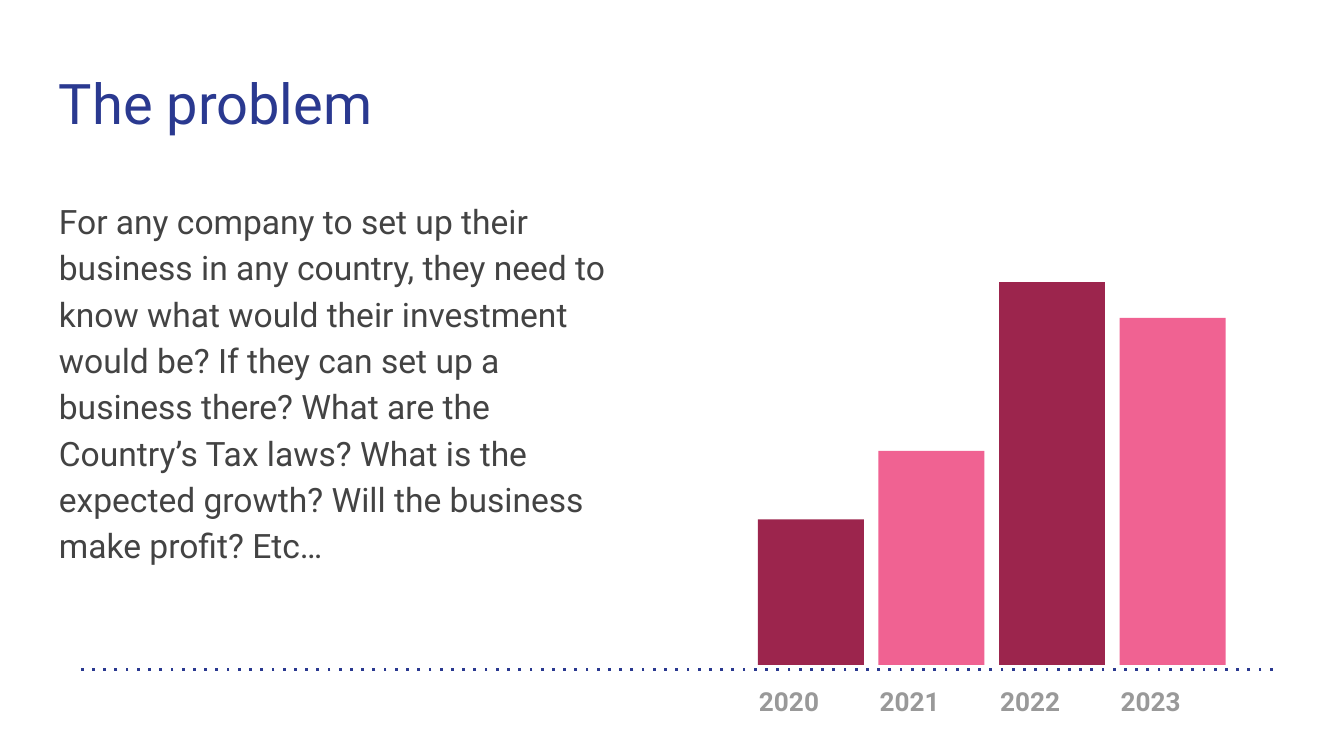
"""Build the slide on the problem, with a bar for each year."""
from lxml.etree import SubElement
from pptx import Presentation
from pptx.dml.color import RGBColor
from pptx.enum.shapes import MSO_CONNECTOR, MSO_SHAPE
from pptx.enum.text import MSO_ANCHOR
from pptx.oxml.ns import qn
from pptx.util import Pt

NAVY = RGBColor(0x2A, 0x39, 0x90)
CHARCOAL = RGBColor(0x43, 0x43, 0x43)
GRAY = RGBColor(0x99, 0x99, 0x99)
WINE = RGBColor(0x9C, 0x25, 0x4D)
PINK = RGBColor(0xF0, 0x62, 0x92)
FONT = "Roboto"

TITLE = "The problem"
QUESTIONS = (
    "For any company to set up their business in any country, they need to "
    "know what would their investment would be? If they can set up a business "
    "there? What are the Country’s Tax laws? What is the expected growth? "
    "Will the business make profit? Etc…"
)
YEARS = [("2020", 78, WINE), ("2021", 114.7, PINK),
         ("2022", 205.2, WINE), ("2023", 185.9, PINK)]

MARGIN = 7.2
YEAR_STEP, BAR_WIDTH = 64.6, 56.8
BARS_LEFT, BARS_BOTTOM = 406, 356.3
YEARS_LEFT, AXIS_TOP = 399.4, 358.6
AXIS_LEFT, AXIS_RIGHT = 40.3, 681.8


def write(frame, text, size, color, bold=False, spacing=1.0):
    frame.margin_left = frame.margin_right = Pt(MARGIN)
    frame.margin_top = frame.margin_bottom = Pt(MARGIN)
    paragraph = frame.paragraphs[0]
    paragraph.line_spacing = spacing
    run = paragraph.add_run()
    run.text = text
    run.font.name = FONT
    run.font.size = Pt(size)
    run.font.bold = bold
    run.font.color.rgb = color


def add_text(slide, bounds, anchor, *style):
    frame = slide.shapes.add_textbox(*map(Pt, bounds)).text_frame
    frame.word_wrap = True
    frame.vertical_anchor = anchor
    write(frame, *style)


def add_years(slide):
    years = slide.shapes.add_table(
        1, len(YEARS), Pt(YEARS_LEFT), Pt(AXIS_TOP),
        Pt(YEAR_STEP * len(YEARS)), Pt(18.7)).table
    years.first_row = years.horz_banding = False
    for index, (year, height, color) in enumerate(YEARS):
        years.columns[index].width = Pt(YEAR_STEP)
        cell = years.cell(0, index)
        cell.fill.background()
        cell.margin_left = cell.margin_right = Pt(MARGIN)
        cell.margin_top = cell.margin_bottom = Pt(MARGIN)
        write(cell.text_frame, year, 14, GRAY, True, 1.15)

        bar = slide.shapes.add_shape(
            MSO_SHAPE.RECTANGLE, Pt(BARS_LEFT + index * YEAR_STEP),
            Pt(BARS_BOTTOM - height), Pt(BAR_WIDTH), Pt(height))
        bar.shadow.inherit = False
        bar.fill.solid()
        bar.fill.fore_color.rgb = color
        bar.line.fill.background()


def add_axis(slide):
    axis = slide.shapes.add_connector(
        MSO_CONNECTOR.STRAIGHT, Pt(AXIS_RIGHT), Pt(AXIS_TOP),
        Pt(AXIS_LEFT), Pt(AXIS_TOP))
    axis.line.color.rgb = NAVY
    axis.line.width = Pt(1.5)
    properties = axis._element.spPr
    SubElement(properties.find(qn("a:ln")), qn("a:prstDash"), val="dot")
    SubElement(properties, qn("a:effectLst"))


def main():
    deck = Presentation()
    deck.slide_width, deck.slide_height = Pt(720), Pt(405)
    slide = deck.slides.add_slide(deck.slide_layouts[6])
    add_text(slide, (24.5, 32.4, 671, 47.5), MSO_ANCHOR.BOTTOM, TITLE, 30, NAVY)
    add_text(slide, (24.5, 97.2, 314.6, 262.8), MSO_ANCHOR.TOP,
             QUESTIONS, 18, CHARCOAL, False, 1.15)
    add_years(slide)
    add_axis(slide)
    deck.save("out.pptx")


if __name__ == "__main__":
    main()
